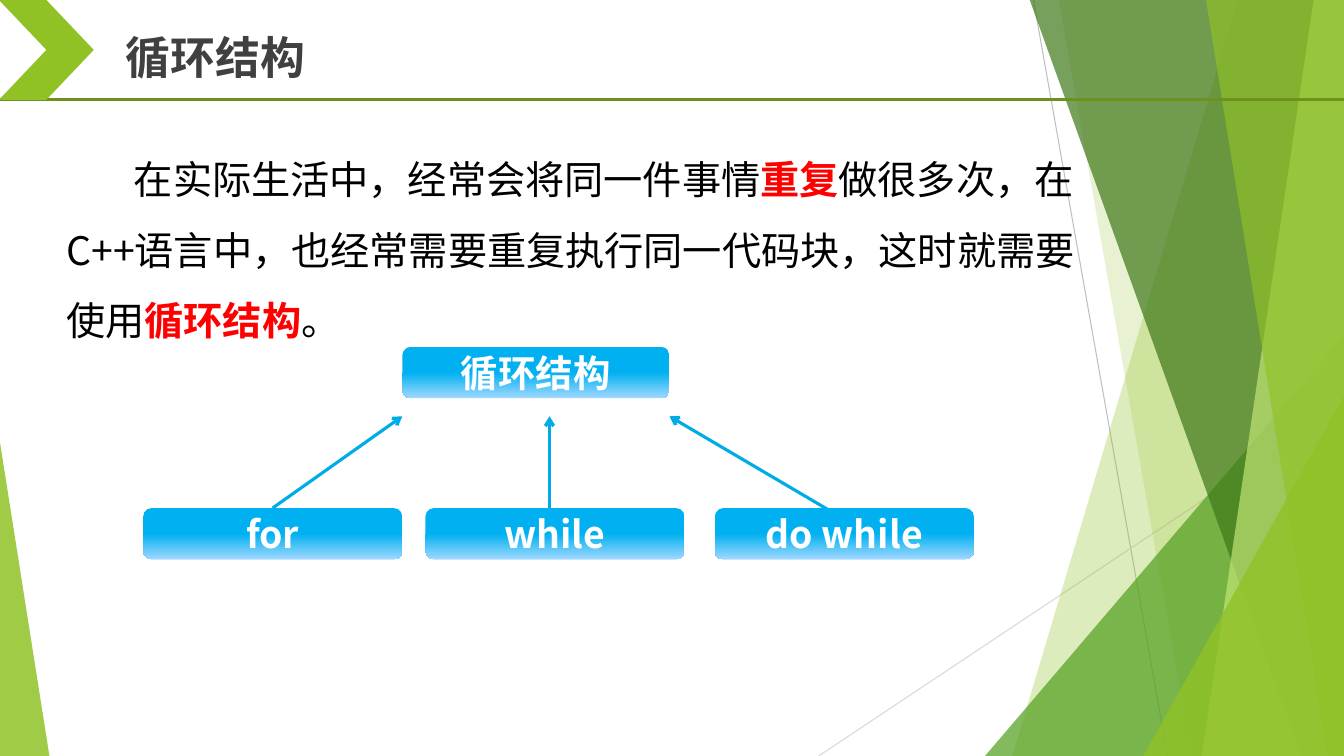
from lxml import etree
from pptx import Presentation
from pptx.dml.color import RGBColor
from pptx.enum.shapes import MSO_CONNECTOR, MSO_SHAPE
from pptx.enum.text import MSO_ANCHOR, PP_ALIGN
from pptx.oxml.ns import qn
from pptx.util import Inches, Pt

STRAIGHT = MSO_CONNECTOR.STRAIGHT
TRIANGLE, CHEVRON, ROUNDED = (MSO_SHAPE.ISOSCELES_TRIANGLE, MSO_SHAPE.CHEVRON,
                              MSO_SHAPE.ROUNDED_RECTANGLE)
LEFT, CENTER = PP_ALIGN.LEFT, PP_ALIGN.CENTER
TOP, MIDDLE = MSO_ANCHOR.TOP, MSO_ANCHOR.MIDDLE

# Content: a run is (text, is highlighted)
TITLE = "循环结构"
INTRO = [
    ("在实际生活中，经常会将同一件事情", False),
    ("重复", True),
    ("做很多次，在C++语言中，也经常需要重复执行同一代码块，这时就需要使用", False),
    ("循环结构", True),
    ("。", False),
]
ROOT = "循环结构"
# Loop kind, left edge, arrow start, arrow end, arrow joins the box
LOOPS = [
    ("for", 1.42, (2.7, 5.04), (3.99, 4.13), True),
    ("while", 4.22, (5.45, 5.04), (5.45, 4.13), False),
    ("do while", 7.09, (8.44, 5.19), (6.64, 4.13), False),
]


class Theme:
    font = "Noto Sans CJK SC"
    title_size, intro_size, box_size = 32, 28, 26.7
    intro_pitch = 50.4
    green, leaf, forest, lime, rule = "90C226", "54A021", "3F7819", "C0E474", "6C921D"
    black, grey, white, red = "000000", "404040", "FFFFFF", "FF0000"
    sky, pale_sky, arrow = "00B0F0", "9FD8FF", "00ACE6"


# Layout, in inches
WIDTH, HEIGHT = 13.33, 7.5
HEADER = 0.99
BLEED = -0.01
BOX_HEIGHT, LOOP_WIDTH, LOOP_TOP = 0.51, 2.57, 5.04
ROOT_BOX = (3.99, 3.44, 2.65, BOX_HEIGHT)

# Background: hairlines, then facets as (top x, bottom x, colour, opacity)
# or (left, top, apex, colour, opacity), from back to front
HAIRLINES = [((10.25, 0), (11.58, HEIGHT), "BFBFBF"),
             ((WIDTH, 4.03), (8.12, HEIGHT), "D9D9D9")]
FACETS = [
    (12.28, 10.04, Theme.green, 30),
    (10.5, 11.82, Theme.green, 20),
    (9.77, 3.33, 1, Theme.leaf, 72),
    (10.21, 12.91, Theme.forest, 70),
    (13.03, 11.92, Theme.lime, 70),
    (11.96, 13.17, Theme.green, 65),
    (11.34, 3.93, 1, Theme.green, 80),
]
LEFT_WEDGE = (0, 4.39, 0.49, HEIGHT - 4.39)

prs = Presentation()
prs.slide_width, prs.slide_height = Inches(WIDTH), Inches(HEIGHT)
slide = prs.slides.add_slide(prs.slide_layouts[6])
shapes = slide.shapes


def rgb(code):
    return RGBColor.from_string(code)


def paint(shape, colour, opacity=100):
    shape.shadow.inherit = False
    shape.line.fill.background()
    shape.fill.solid()
    shape.fill.fore_color.rgb = rgb(colour)
    if opacity < 100:
        tint = next(shape._element.spPr.iter(qn("a:srgbClr")))
        etree.SubElement(tint, qn("a:alpha")).set("val", str(opacity * 1000))


def add_preset(kind, area, adjustment=None):
    shape = shapes.add_shape(kind, *map(Inches, area))
    if adjustment is not None:
        shape.adjustments[0] = adjustment
    return shape


def add_line(start, end, colour, weight, arrow=False):
    line = shapes.add_connector(STRAIGHT, *map(Inches, (*start, *end)))
    line.line.color.rgb = rgb(colour)
    line.line.width = Pt(weight)
    if arrow:
        etree.SubElement(line.line._get_or_add_ln(), qn("a:tailEnd")).set("type", "arrow")
    etree.SubElement(line._element.spPr, qn("a:effectLst"))
    return line


def write(shape, runs, size, colour, bold=False, align=LEFT, anchor=MIDDLE,
          inset=0, pitch=None, indent=0):
    frame = shape.text_frame
    frame.word_wrap = True
    frame.vertical_anchor = anchor
    frame.margin_top, frame.margin_bottom = Inches(inset), 0
    paragraph = frame.paragraphs[0]
    paragraph.alignment = align
    if pitch:
        paragraph.line_spacing = Pt(pitch)
    if indent:
        paragraph._p.get_or_add_pPr().set("indent", str(Inches(indent)))
    for text, highlighted in runs:
        run = paragraph.add_run()
        run.text = text
        run.font.size = Pt(size)
        run.font.bold = bold or highlighted
        run.font.color.rgb = rgb(Theme.red if highlighted else colour)
        run.font.name = Theme.font
        etree.SubElement(run._r.get_or_add_rPr(), qn("a:ea")).set("typeface", Theme.font)


def add_text(area, runs, **style):
    write(shapes.add_textbox(*map(Inches, area)), runs, **style)


def add_box(label, area):
    box = add_preset(ROUNDED, area, 0.167)
    box.shadow.inherit = False
    box.line.fill.background()
    box.fill.gradient()
    box.fill.gradient_angle = 270
    stops = ((0.5, Theme.sky), (1, Theme.pale_sky))
    for stop, (position, colour) in zip(box.fill.gradient_stops, stops):
        stop.position = position
        stop.color.rgb = rgb(colour)
    write(box, [(label, False)], size=Theme.box_size, colour=Theme.white,
          bold=True, align=CENTER)
    return box


# Background
for start, end, colour in HAIRLINES:
    add_line(start, end, colour, 0.75)
for *place, colour, opacity in FACETS:
    if len(place) == 2:
        top_x, bottom_x = place
        outline = shapes.build_freeform(Inches(top_x), Inches(BLEED))
        corners = [(WIDTH, BLEED), (WIDTH, HEIGHT), (bottom_x, HEIGHT)]
        outline.add_line_segments([(Inches(x), Inches(y)) for x, y in corners])
        facet = outline.convert_to_shape()
    else:
        left, top, apex = place
        facet = add_preset(TRIANGLE, (left, top, WIDTH - left, HEIGHT - top), apex)
    paint(facet, colour, opacity)
paint(add_preset(TRIANGLE, LEFT_WEDGE, 0), Theme.green, 85)

# Loop diagram
add_box(ROOT, ROOT_BOX)
for label, left, start, end, joined in LOOPS:
    arrow = add_line(start, end, Theme.arrow, 2.25, arrow=True)
    loop_box = add_box(label, (left, LOOP_TOP, LOOP_WIDTH, BOX_HEIGHT))
    if joined:
        arrow.begin_connect(loop_box, 0)

# Introduction
add_text((0.56, 1.22, 10.58, 2.22), INTRO, size=Theme.intro_size, colour=Theme.black,
         anchor=TOP, inset=0.09, pitch=Theme.intro_pitch, indent=0.67)

# Header
add_line((BLEED, HEADER), (WIDTH, HEADER), Theme.rule, 2.25)
paint(add_preset(CHEVRON, (BLEED, 0, 0.94, HEADER)), Theme.green)
add_text((1.15, 0.24, 4.33, 0.64), [(TITLE, False)], size=Theme.title_size,
         colour=Theme.grey, bold=True)

prs.save("out.pptx")
